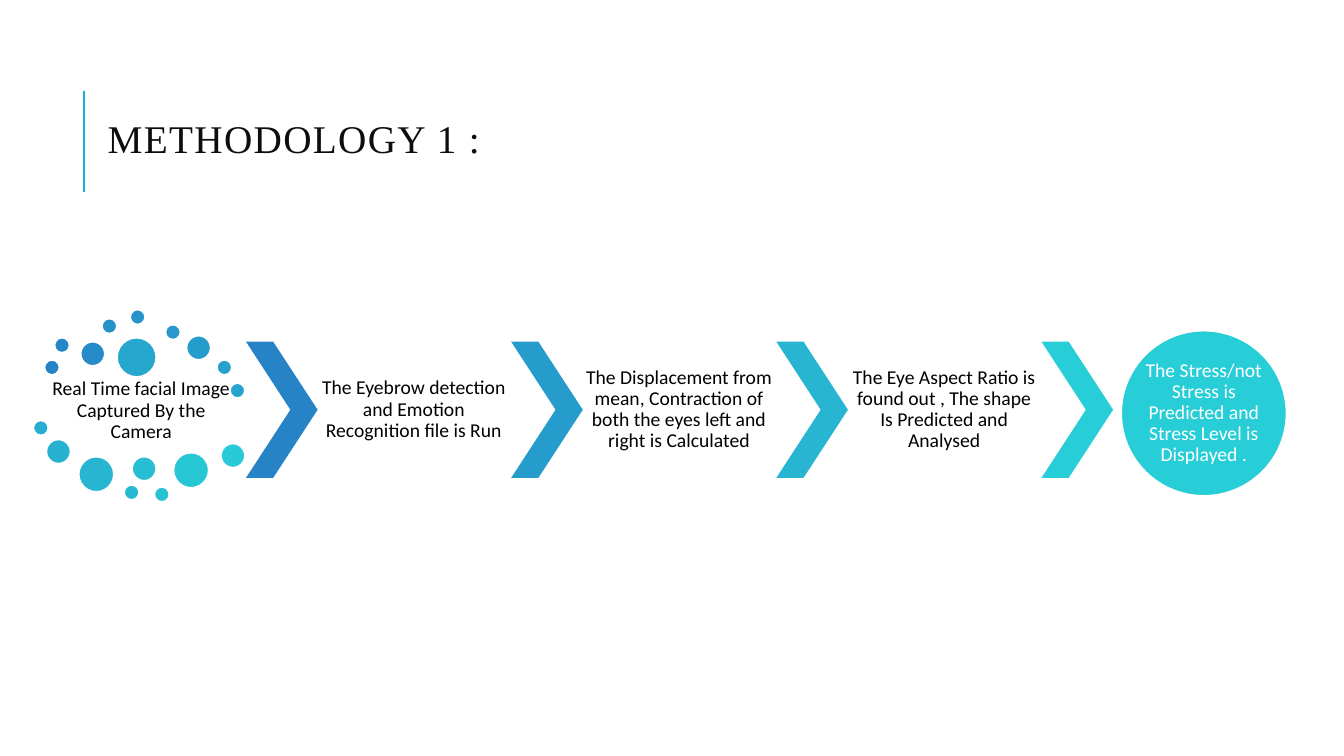
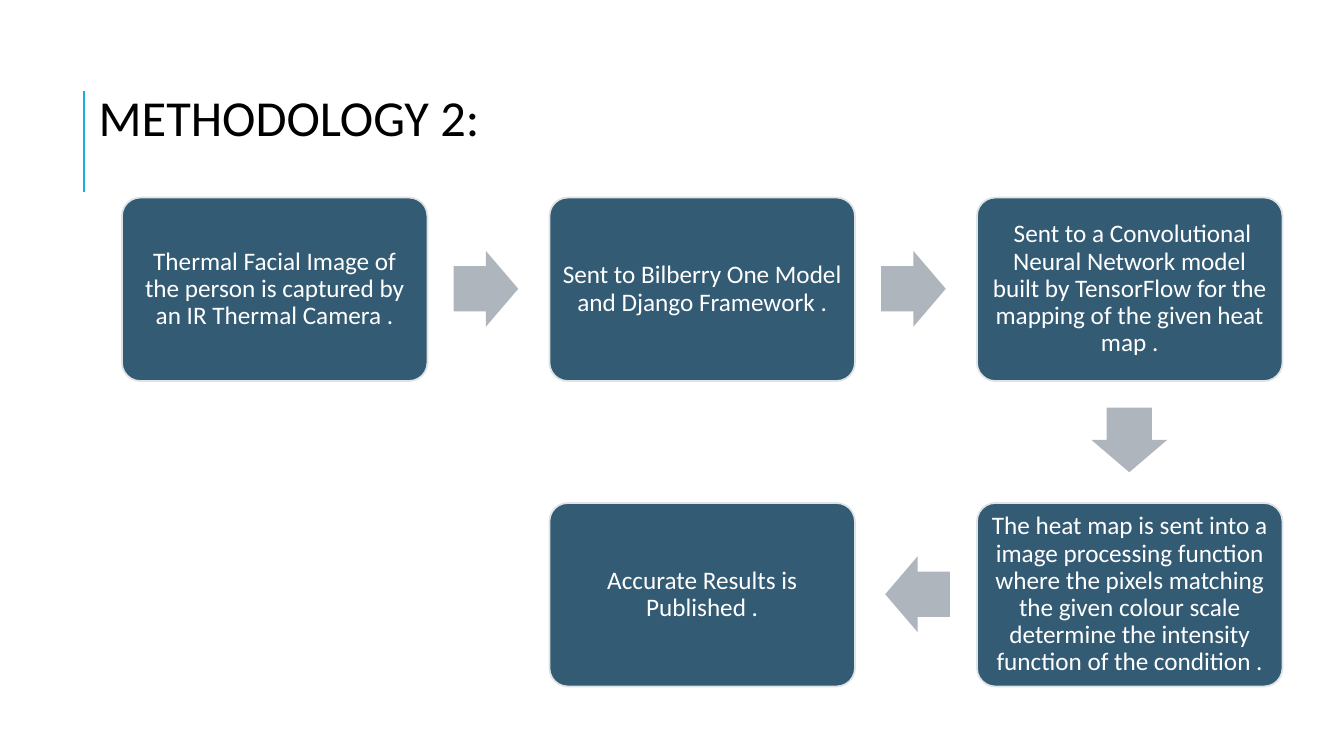
import lxml.etree
import pptx
import pptx.dml.color
import pptx.enum.shapes
import pptx.enum.text
import pptx.oxml.ns
import pptx.util

Inches = pptx.util.Inches
RGBColor = pptx.dml.color.RGBColor
Shape = pptx.enum.shapes.MSO_SHAPE
Align = pptx.enum.text.PP_ALIGN
Anchor = pptx.enum.text.MSO_ANCHOR

ACCENT = RGBColor(0x1C, 0xAD, 0xE4)
RAMP_START = RGBColor(0x26, 0x83, 0xC6)
RAMP_END = RGBColor(0x27, 0xCE, 0xD7)
STEP_FILL = RGBColor(0x33, 0x5B, 0x74)
STEP_EDGE = RGBColor(0xDF, 0xE3, 0xE5)
ARROW_FILL = RGBColor(0xAE, 0xB5, 0xBC)
WHITE = RGBColor(0xFF, 0xFF, 0xFF)
BLACK = RGBColor(0x00, 0x00, 0x00)
TITLE_INK = RGBColor(0x0D, 0x0D, 0x0D)

SMALL, MEDIUM, LARGE, LARGEST = 0.15, 0.24, 0.35, 0.39
DOTS = [
    (0.44, 3.57, SMALL), (0.54, 3.35, SMALL), (0.8, 3.39, MEDIUM),
    (1.01, 3.16, SMALL), (1.29, 3.07, SMALL), (1.64, 3.22, SMALL),
    (1.85, 3.33, MEDIUM), (2.15, 3.57, SMALL), (2.28, 3.8, SMALL),
    (1.16, 3.35, LARGEST), (0.33, 4.17, SMALL), (0.46, 4.36, MEDIUM),
    (0.78, 4.53, LARGE), (1.23, 4.81, SMALL), (1.31, 4.53, MEDIUM),
    (1.53, 4.83, SMALL), (1.72, 4.49, LARGE), (2.19, 4.4, MEDIUM),
]
CAPTURE = "Real Time facial Image Captured By the Camera"
STAGES = [
    "The Eyebrow detection and Emotion Recognition file is Run",
    "The Displacement from mean, Contraction of both the eyes left and right is Calculated",
    "The Eye Aspect Ratio is found out , The shape Is Predicted and Analysed",
]
OUTCOME = "The Stress/not Stress is Predicted and Stress Level is Displayed ."
STEPS = [
    (0, 0, "Thermal Facial Image of the person is captured by an IR Thermal Camera ."),
    (1, 0, "Sent to Bilberry One Model and Django Framework ."),
    (2, 0, " Sent to a Convolutional Neural Network model built by TensorFlow "
           "for the mapping of the given heat map ."),
    (2, 1, "The heat map is sent into a image processing function where the pixels matching "
           "the given colour scale determine the intensity function of the condition ."),
    (1, 1, "Accurate Results is Published ."),
]
ARROWS = [(4.5, 2.49, 0), (8.74, 2.49, 0), (10.88, 3.99, 90), (8.78, 5.52, 180)]


def ramp(share):
    return RGBColor(*(round(a + (b - a) * share) for a, b in zip(RAMP_START, RAMP_END)))


class Deck:
    """Holds the shared style and the slide being built."""

    def __init__(self):
        self.presentation = pptx.Presentation()
        self.presentation.slide_width = Inches(13.33)
        self.presentation.slide_height = Inches(7.5)
        self.slide = None

    def new_slide(self):
        self.slide = self.presentation.slides.add_slide(self.presentation.slide_layouts[6])
        rule = self.slide.shapes.add_connector(
            pptx.enum.shapes.MSO_CONNECTOR.STRAIGHT,
            Inches(0.83), Inches(1.9), Inches(0.83), Inches(0.9))
        rule.line.color.rgb = ACCENT
        rule.line.width = pptx.util.Pt(1.5)
        lxml.etree.SubElement(rule._element.spPr, pptx.oxml.ns.qn("a:effectLst"))

    def label(self, holder, wording, size, color, inset=None, align=Align.CENTER,
              spacing=0.9, anchor=Anchor.MIDDLE, font="Calibri", wrap=True):
        frame = holder.text_frame
        frame.word_wrap = wrap
        frame.vertical_anchor = anchor
        if inset is not None:
            frame.margin_left = frame.margin_right = Inches(inset)
            frame.margin_top = frame.margin_bottom = Inches(inset)
        paragraph = frame.paragraphs[0]
        paragraph.alignment = align
        paragraph.line_spacing = spacing
        run = paragraph.add_run()
        run.text = wording
        run.font.name = font
        run.font.size = pptx.util.Pt(size)
        run.font.color.rgb = color
        return run

    def text(self, left, top, width, height, wording, size, color, **style):
        holder = self.slide.shapes.add_textbox(
            Inches(left), Inches(top), Inches(width), Inches(height))
        return self.label(holder, wording, size, color, **style)

    def shape(self, kind, left, top, width, height, fill, edge=None, adjust=()):
        figure = self.slide.shapes.add_shape(
            kind, Inches(left), Inches(top), Inches(width), Inches(height))
        figure.shadow.inherit = False
        figure.fill.solid()
        figure.fill.fore_color.rgb = fill
        if edge is None:
            figure.line.fill.background()
        else:
            figure.line.color.rgb = edge
            figure.line.width = pptx.util.Pt(1.25)
        for index, value in enumerate(adjust):
            figure.adjustments[index] = value
        return figure

    def circle(self, left, top, size, fill):
        return self.shape(Shape.OVAL, left, top, size, size, fill, WHITE)

    def chevron(self, left, fill):
        self.shape(Shape.CHEVRON, left, 3.39, 0.71, 1.35, fill, adjust=[0.62])

    def step(self, column, row, wording):
        box = self.shape(Shape.ROUNDED_RECTANGLE, 1.21 + 4.24 * column, 1.96 + 3.03 * row,
                         3.03, 1.82, STEP_FILL, STEP_EDGE, [0.1])
        self.label(box, wording, 18, WHITE, inset=0.07)

    def arrow(self, left, top, angle):
        arrow = self.shape(Shape.RIGHT_ARROW, left, top, 0.64, 0.75, ARROW_FILL,
                           adjust=[0.6, 0.5])
        arrow.rotation = angle


def build_stress_flow(deck):
    deck.new_slide()
    title = deck.text(0.97, 1.03, 7.12, 0.76, "METHODOLOGY 1 :", 28, TITLE_INK,
                      align=Align.LEFT, spacing=0.8, font="Times New Roman")
    title._r.get_or_add_rPr().set("spc", "100")
    deck.text(0.44, 3.76, 1.92, 0.63, CAPTURE, 14, BLACK, inset=0.02)
    for index, (left, top, size) in enumerate(DOTS):
        deck.circle(left, top, size, ramp(index / len(DOTS)))
    for index in range(len(STAGES) + 1):
        left = 2.44 + 2.63 * index
        deck.chevron(left, ramp(index / len(STAGES)))
        if index < len(STAGES):
            deck.text(left + 0.7, 3.39, 1.93, 1.35, STAGES[index], 14, BLACK, inset=0.02)
    outcome = deck.circle(11.12, 3.28, 1.64, RAMP_END)
    deck.label(outcome, OUTCOME, 14, WHITE, inset=0)


def build_thermal_flow(deck):
    deck.new_slide()
    deck.text(0.88, 0.8, 4.2, 0.71, "METHODOLOGY 2:", 36, BLACK,
              align=Align.LEFT, spacing=1.0, anchor=Anchor.TOP, wrap=False)
    for step in STEPS:
        deck.step(*step)
    for arrow in ARROWS:
        deck.arrow(*arrow)


def main():
    deck = Deck()
    build_stress_flow(deck)
    build_thermal_flow(deck)
    deck.presentation.save("out.pptx")


if __name__ == "__main__":
    main()
